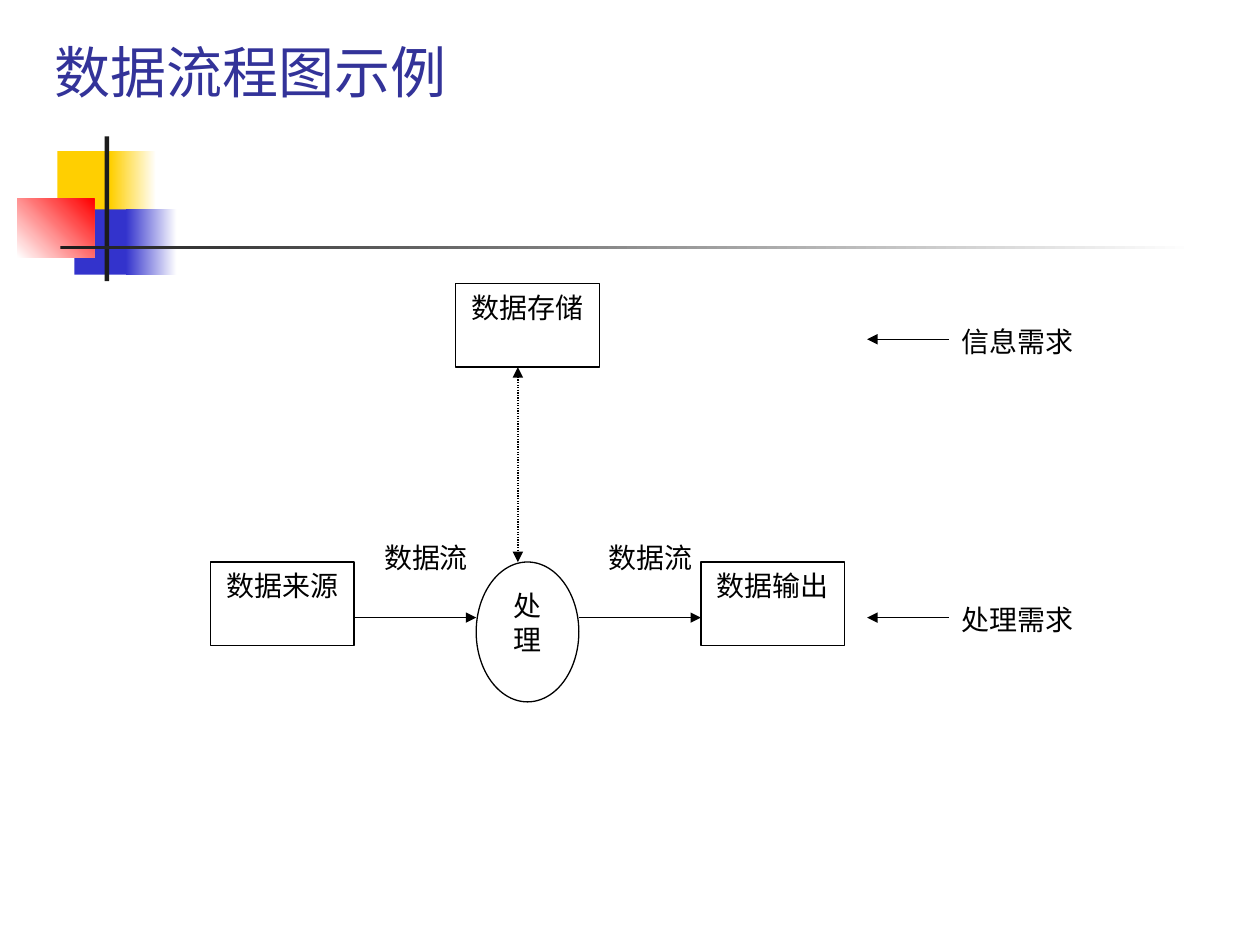
from lxml import etree
from pptx import Presentation
from pptx.dml.color import RGBColor
from pptx.enum.dml import MSO_LINE
from pptx.enum.shapes import MSO_CONNECTOR, MSO_SHAPE
from pptx.enum.text import MSO_ANCHOR, PP_ALIGN
from pptx.oxml.ns import qn
from pptx.util import Cm, Pt

RECT, OVAL = MSO_SHAPE.RECTANGLE, MSO_SHAPE.OVAL
STRAIGHT = MSO_CONNECTOR.STRAIGHT
DOTTED = MSO_LINE.ROUND_DOT
TOP, BOTTOM = MSO_ANCHOR.TOP, MSO_ANCHOR.BOTTOM
LEFT, CENTER, JUSTIFY = PP_ALIGN.LEFT, PP_ALIGN.CENTER, PP_ALIGN.JUSTIFY

BLACK, WHITE, YELLOW, BLUE = "000000", "FFFFFF", "FFCF01", "3333CC"
RED, DARK, TITLE_BLUE = "FF0000", "1C1C1C", "333399"

BOX_W, BOX_H = 2.9, 1.68
STORE_Y, FLOW_Y = 5.72, 11.33
SOURCE_X, STORE_X, NEED_X = 4.24, 9.19, 19.13
PROCESS_X, PROCESS_W, PROCESS_H = 9.6, 2.07, 2.82
ARROW_LEN = PROCESS_X - SOURCE_X - BOX_W
OUTPUT_X = PROCESS_X + PROCESS_W + ARROW_LEN
ARROW_DY = 1.12


def color(hex_code):
    return RGBColor.from_string(hex_code)


def write(sp, text, align=CENTER, size=16, font="Times New Roman", ink=BLACK, anchor=TOP):
    tf = sp.text_frame
    tf.word_wrap = True
    tf.vertical_anchor = anchor
    tf.margin_left = tf.margin_right = Cm(0.25)
    tf.margin_top = tf.margin_bottom = Cm(0.13)
    p = tf.paragraphs[0]
    p.alignment = align
    r = p.add_run()
    r.text = text
    r.font.size = Pt(size)
    r.font.name = font
    r.font.color.rgb = color(ink)


def add_label(s, x, y, w, h, text, **style):
    write(s.shapes.add_textbox(Cm(x), Cm(y), Cm(w), Cm(h)), text, **style)


def add_node(s, kind, x, y, w, h, text):
    """Outlined, unfilled shape with its name inside."""
    sp = s.shapes.add_shape(kind, Cm(x), Cm(y), Cm(w), Cm(h))
    sp.shadow.inherit = False
    sp.fill.background()
    sp.line.color.rgb = color(BLACK)
    sp.line.width = Pt(0.75)
    write(sp, text)


def add_block(s, x, y, w, h, start, end=None, angle=0):
    """Borderless decoration, plain or fading from start to end."""
    sp = s.shapes.add_shape(RECT, Cm(x), Cm(y), Cm(w), Cm(h))
    sp.shadow.inherit = False
    sp.line.fill.background()
    if end is None:
        sp.fill.solid()
        sp.fill.fore_color.rgb = color(start)
        return
    sp.fill.gradient()
    sp.fill.gradient_angle = angle
    for stop, hex_code in zip(sp.fill.gradient_stops, (start, end)):
        stop.color.rgb = color(hex_code)


def add_arrow(s, x1, y1, x2, y2, dash=None, both_ends=False):
    cx = s.shapes.add_connector(STRAIGHT, Cm(x1), Cm(y1), Cm(x2), Cm(y2))
    cx.line.color.rgb = color(BLACK)
    cx.line.width = Pt(0.75)
    if dash is not None:
        cx.line.dash_style = dash
    ln = cx.line._get_or_add_ln()
    for tag in ("a:headEnd", "a:tailEnd") if both_ends else ("a:tailEnd",):
        etree.SubElement(ln, qn(tag), type="triangle")
    etree.SubElement(cx._element.spPr, qn("a:effectLst"))


def add_decoration(s):
    add_block(s, 1.16, 3.05, 1.22, 1.32, YELLOW)
    add_block(s, 2.23, 3.05, 0.92, 1.32, YELLOW, WHITE)
    add_block(s, 1.5, 4.22, 1.17, 1.32, BLUE)
    add_block(s, 2.54, 4.22, 1.02, 1.32, BLUE, WHITE)
    add_block(s, 0.35, 4.01, 1.55, 1.18, WHITE, RED, angle=45)
    add_block(s, 2.11, 2.75, 0.09, 2.92, DARK)
    add_block(s, 1.22, 4.95, 22.86, 0.08, DARK, WHITE)


def add_diagram(s):
    for x in (SOURCE_X + BOX_W, PROCESS_X + PROCESS_W):
        add_label(s, x, FLOW_Y - 0.56, BOX_W, BOX_H, "数据流")
        add_arrow(s, x, FLOW_Y + ARROW_DY, x + ARROW_LEN, FLOW_Y + ARROW_DY)
    for x, y, text in ((STORE_X, STORE_Y, "数据存储"),
                       (SOURCE_X, FLOW_Y, "数据来源"),
                       (OUTPUT_X, FLOW_Y, "数据输出")):
        add_node(s, RECT, x, y, BOX_W, BOX_H, text)
    add_node(s, OVAL, PROCESS_X, FLOW_Y, PROCESS_W, PROCESS_H, "处理")
    add_arrow(s, 10.44, STORE_Y + BOX_H, 10.44, FLOW_Y, dash=DOTTED, both_ends=True)
    for y, text in ((FLOW_Y, "处理需求"), (STORE_Y, "信息需求")):
        add_arrow(s, NEED_X, y + ARROW_DY, NEED_X - 1.65, y + ARROW_DY)
        add_label(s, NEED_X, y + 0.69, BOX_W, BOX_H - 0.69, text, align=JUSTIFY)


def main():
    prs = Presentation()
    prs.slide_width, prs.slide_height = Cm(25.4), Cm(19.05)
    s = prs.slides.add_slide(prs.slide_layouts[6])
    add_decoration(s)
    add_label(s, 0.84, 0.64, 21.59, 1.6, "数据流程图示例", align=LEFT,
              size=32, font="Roboto", ink=TITLE_BLUE, anchor=BOTTOM)
    add_diagram(s)
    prs.save("out.pptx")


if __name__ == "__main__":
    main()
